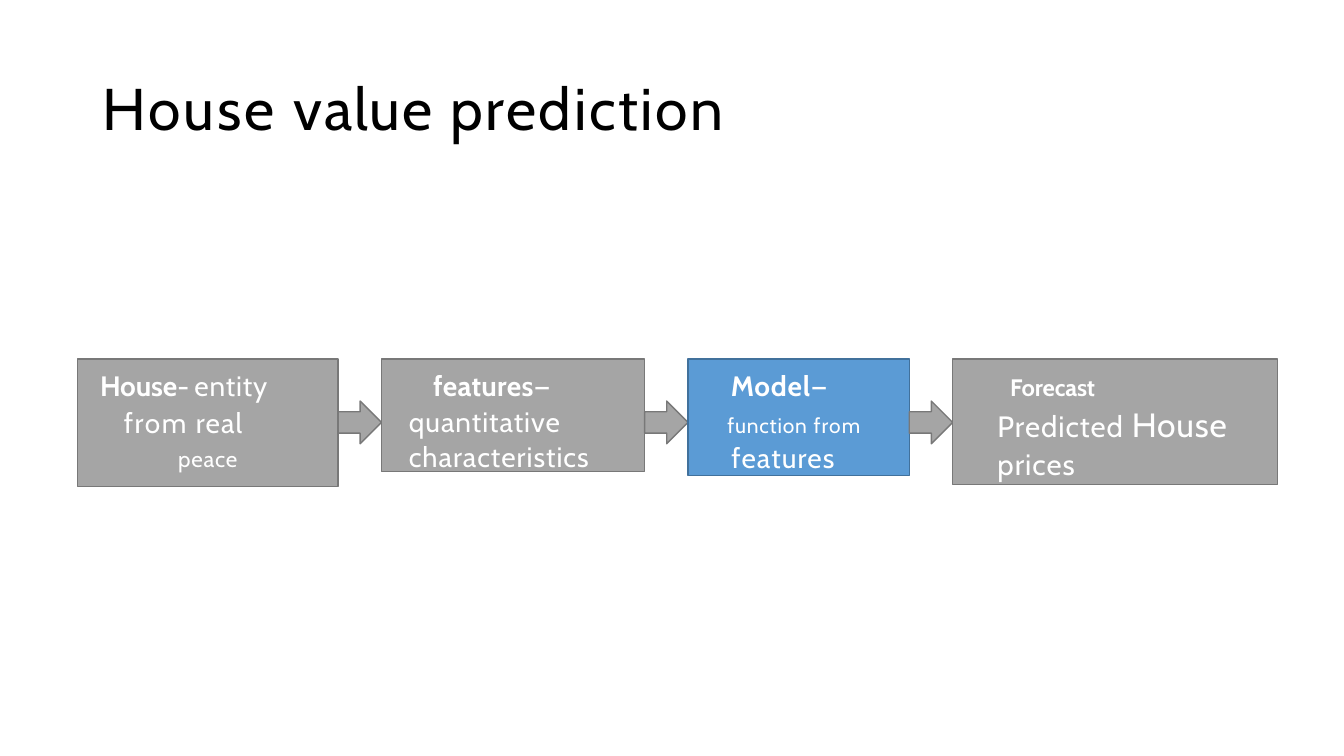
import pptx
import pptx.dml.color
import pptx.enum.shapes
import pptx.enum.text
import pptx.util

Pt = pptx.util.Pt
RGBColor = pptx.dml.color.RGBColor
SHAPE = pptx.enum.shapes.MSO_SHAPE
ALIGN = pptx.enum.text.PP_ALIGN

BLACK = RGBColor(0x00, 0x00, 0x00)
WHITE = RGBColor(0xFF, 0xFF, 0xFF)
GRAY = RGBColor(0xA5, 0xA5, 0xA5)
GRAY_EDGE = RGBColor(0x78, 0x78, 0x78)
BLUE = RGBColor(0x5B, 0x9B, 0xD5)
BLUE_EDGE = RGBColor(0x41, 0x71, 0x9C)
FONT = "Cabin"

FLOW_LEFT, FLOW_TOP = 55.5, 256.5
ARROW_WIDTH, ARROW_HEIGHT, ARROW_TOP = 31, 30.5, 286.5
BREAK = None

# Each paragraph holds its format and its spans: text, size, bold, letter spacing.
STEPS = [
    dict(width=186, height=91, inset=5, fill=GRAY, edge=GRAY_EDGE, paras=[
        (dict(left=33, first=-17, before=5.2, line=1.08),
         [("House", 20, True, -0.1), ("- ", 20, False, -0.8), ("entity", 20, False, 0.6),
          BREAK, ("from ", 20, False, 1.1), ("real", 20, False, 0.8)]),
        (dict(before=5, align=ALIGN.CENTER), [("peace", 16, False, 0.6)]),
    ]),
    dict(width=188, height=80.5, inset=5.5, fill=GRAY, edge=GRAY_EDGE, paras=[
        (dict(left=19.5, first=17.5, before=5.7, line=1.06),
         [("features", 20, True, 0.2), ("—", 20, False, 0.2),
          BREAK, ("quantitative ", 20, False, 0.7),
          BREAK, ("characteristics", 20, False, 0.7)]),
    ]),
    dict(width=158, height=83, inset=7, fill=BLUE, edge=BLUE_EDGE, paras=[
        (dict(left=30.5, before=7), [("Model", 20, True, 0.5), ("—", 20, False, 0.5)]),
        (dict(left=28, before=7), [("function ", 15, False, 0.6), ("from", 15, False, 0.8)]),
        (dict(left=31, before=1.9), [("features", 20, False, 0.8)]),
    ]),
    dict(width=232, height=89.5, inset=10, fill=GRAY, edge=GRAY_EDGE, paras=[
        (dict(left=41, before=10.1), [("Forecast", 17, True, -0.1)]),
        (dict(left=32, before=1.6),
         [("Predicted ", 21, False, 0.7), ("House", 24, False, 0.6)]),
        (dict(left=32, before=1.6), [("prices", 21, False, 0.7)]),
    ]),
]


def add_spans(para, spans, color):
    for item in spans:
        if item is BREAK:
            para.add_line_break()
            continue
        text, size, bold, spacing = item
        span = para.add_run()
        span.text = text
        span.font.name = FONT
        span.font.size = Pt(size)
        span.font.bold = bold
        span.font.color.rgb = color
        span.font._element.set("spc", str(round(spacing * 100)))


def write_text(box, inset, paras, color):
    """Fill a box from the top with paragraphs, without side margins."""
    frame = box.text_frame
    frame.word_wrap = True
    frame.vertical_anchor = pptx.enum.text.MSO_ANCHOR.TOP
    frame.margin_left = frame.margin_right = frame.margin_bottom = 0
    frame.margin_top = Pt(inset)
    for index, (style, spans) in enumerate(paras):
        para = frame.add_paragraph() if index else frame.paragraphs[0]
        para.alignment = style.get("align", ALIGN.LEFT)
        para.space_before = Pt(style["before"])
        para.line_spacing = style.get("line", 1.0)
        properties = para._p.get_or_add_pPr()
        properties.set("marL", str(Pt(style.get("left", 0))))
        properties.set("indent", str(Pt(style.get("first", 0))))
        add_spans(para, spans, color)


def add_filled(page, kind, left, top, width, height, fill, edge):
    shape = page.shapes.add_shape(kind, Pt(left), Pt(top), Pt(width), Pt(height))
    shape.shadow.inherit = False
    shape.fill.solid()
    shape.fill.fore_color.rgb = fill
    shape.line.color.rgb = edge
    shape.line.width = Pt(1)
    return shape


def add_title(page, left, top, width, height):
    box = page.shapes.add_textbox(Pt(left), Pt(top), Pt(width), Pt(height))
    spans = [("House ", 42, False, 2.1), ("value ", 42, False, 1.4),
             ("prediction", 42, False, 1.9)]
    write_text(box, 1, [(dict(left=1, before=1), spans)], BLACK)


def add_flow(page, left, top):
    """Place the steps in a row, with an arrow filling each gap."""
    for index, step in enumerate(STEPS):
        if index:
            add_filled(page, SHAPE.RIGHT_ARROW, left, ARROW_TOP,
                       ARROW_WIDTH, ARROW_HEIGHT, GRAY, GRAY_EDGE)
            left += ARROW_WIDTH
        box = add_filled(page, SHAPE.RECTANGLE, left, top, step["width"],
                         step["height"], step["fill"], step["edge"])
        write_text(box, step["inset"], step["paras"], WHITE)
        left += step["width"]


def main():
    deck = pptx.Presentation()
    deck.slide_width, deck.slide_height = Pt(960), Pt(540)
    page = deck.slides.add_slide(deck.slide_layouts[6])
    add_title(page, 72, 50.5, 456.5, 52.5)
    add_flow(page, FLOW_LEFT, FLOW_TOP)
    deck.save("out.pptx")


if __name__ == "__main__":
    main()
